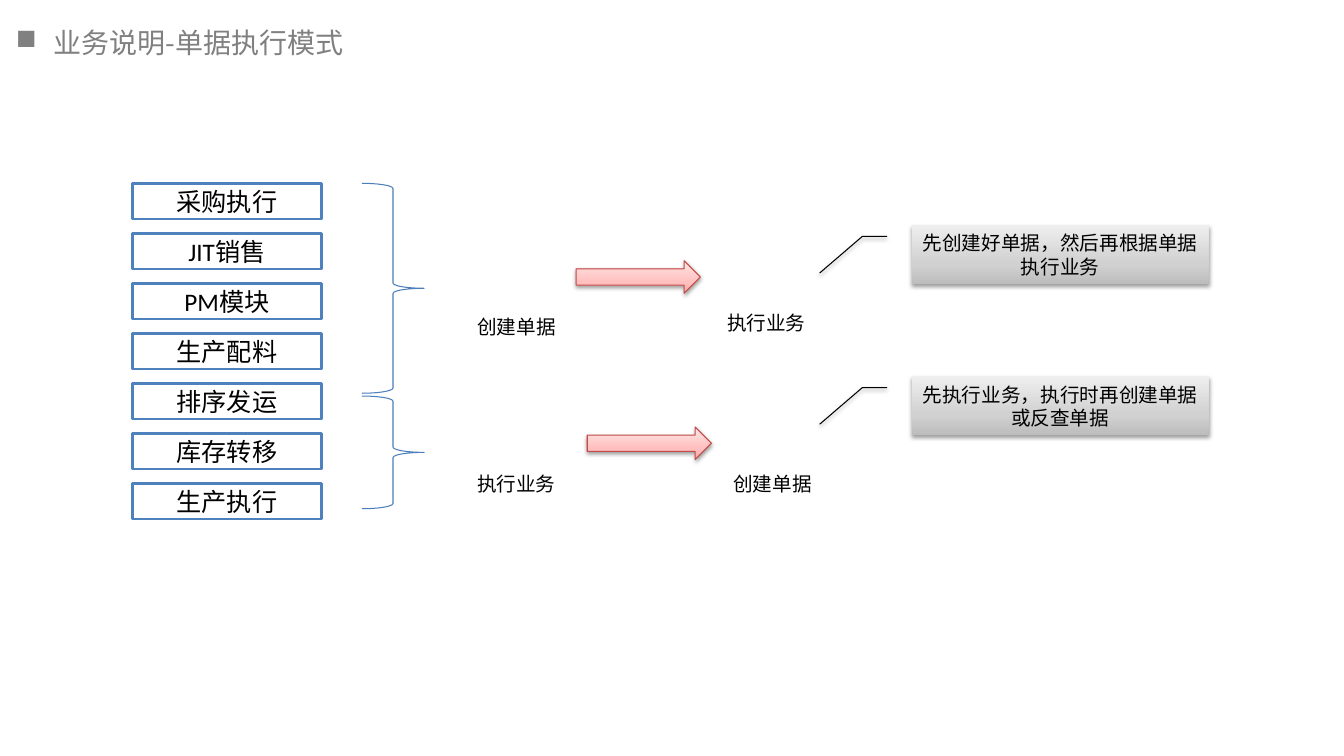
from dataclasses import dataclass

from lxml.etree import SubElement
from pptx import Presentation
from pptx.dml.color import RGBColor
from pptx.enum.shapes import MSO_SHAPE
from pptx.enum.text import MSO_ANCHOR, MSO_AUTO_SIZE, PP_ALIGN
from pptx.oxml.ns import qn
from pptx.shapes.autoshape import Shape
from pptx.slide import Slide
from pptx.text.text import TextFrame
from pptx.util import Cm, Pt


@dataclass(frozen=True)
class Theme:
    body_font: str = "Calibri"
    title_font: str = "Noto Sans CJK SC"
    title_size: float = 20
    module_size: float = 18
    label_size: float = 14
    text: str = "000000"
    title: str = "808080"
    module_fill: str = "FFFFFF"
    module_line: str = "4F81BD"
    brace_line: str = "4B7EBC"
    arrow_line: str = "BF4C48"
    arrow_stops: tuple[str, ...] = ("FFA6A5", "FFC0BF", "FFE7E7")
    note_stops: tuple[str, ...] = ("BDBDBD", "D1D1D1", "EEEEEE")
    stop_positions: tuple[int, ...] = (0, 35000, 100000)


@dataclass(frozen=True)
class Area:
    left: float
    top: float
    width: float
    height: float


@dataclass(frozen=True)
class Label:
    text: str
    area: Area


@dataclass(frozen=True)
class Flow:
    brace: Area
    first: Label
    arrow: Area
    second: Label
    note: Label


THEME = Theme()
MODULES = ("采购执行", "JIT销售", "PM模块", "生产配料", "排序发运", "库存转移", "生产执行")
MODULE_TOP, MODULE_PITCH = 4.62, 1.26
NOTE_ADJUSTMENTS = (0.1875, -0.0833, 0.1875, -0.1667, 0.8126, -0.3108)
FLOWS = (
    Flow(
        Area(9.12, 4.62, 1.57, 5.29),
        Label("创建单据", Area(11.51, 7.82, 3.02, 0.86)),
        Area(14.52, 6.57, 3.13, 0.82),
        Label("执行业务", Area(17.93, 7.7, 2.77, 0.86)),
        Label("先创建好单据，然后再根据单据执行业务", Area(22.98, 5.68, 7.48, 1.48)),
    ),
    Flow(
        Area(9.12, 9.98, 1.57, 2.84),
        Label("执行业务", Area(11.63, 11.76, 2.77, 0.86)),
        Area(14.8, 10.76, 3.13, 0.82),
        Label("创建单据", Area(17.96, 11.76, 3.02, 0.86)),
        Label("先执行业务，执行时再创建单据或反查单据", Area(22.98, 9.49, 7.48, 1.48)),
    ),
)


def write(frame: TextFrame, text: str, size: float, font: str = THEME.body_font,
          color: str = THEME.text, align: PP_ALIGN = PP_ALIGN.CENTER) -> None:
    frame.word_wrap = True
    para = frame.paragraphs[0]
    para.text = text
    para.alignment = align
    para.font.name = font
    para.font.size = Pt(size)
    para.font.color.rgb = RGBColor.from_string(color)


def add_outline(page: Slide, kind: MSO_SHAPE, area: Area, color: str, width: float) -> Shape:
    shape = page.shapes.add_shape(
        kind, Cm(area.left), Cm(area.top), Cm(area.width), Cm(area.height))
    shape.line.color.rgb = RGBColor.from_string(color)
    shape.line.width = Pt(width)
    shape.shadow.inherit = False
    return shape


def add_textbox(page: Slide, area: Area) -> TextFrame:
    box = page.shapes.add_textbox(
        Cm(area.left), Cm(area.top), Cm(area.width), Cm(area.height))
    box.text_frame.auto_size = MSO_AUTO_SIZE.SHAPE_TO_FIT_TEXT
    return box.text_frame


def add_raised(page: Slide, kind: MSO_SHAPE, area: Area, color: str,
               stops: tuple[str, ...]) -> Shape:
    shape = add_outline(page, kind, area, color, 0.75)
    shape.fill.gradient()
    shape.fill.gradient_angle = 90
    properties = shape.element.spPr
    stop_list = properties.find(qn("a:gradFill")).find(qn("a:gsLst"))
    for old_stop in list(stop_list):
        stop_list.remove(old_stop)
    for position, stop_color in zip(THEME.stop_positions, stops):
        stop = SubElement(stop_list, qn("a:gs"), pos=str(position))
        SubElement(stop, qn("a:srgbClr"), val=stop_color)
    shadow = SubElement(properties.find(qn("a:effectLst")), qn("a:outerShdw"),
                        blurRad="40000", dist="20000", dir="5400000", rotWithShape="0")
    shade = SubElement(shadow, qn("a:srgbClr"), val=THEME.text)
    SubElement(shade, qn("a:alpha"), val="38000")
    return shape


def add_title(page: Slide, title: Label) -> None:
    frame = add_textbox(page, title.area)
    properties = frame.paragraphs[0]._p.get_or_add_pPr()
    indent = Cm(0.95)
    properties.set("marL", str(indent))
    properties.set("indent", str(-indent))
    SubElement(properties, qn("a:buChar"), char="■")
    write(frame, title.text, THEME.title_size, THEME.title_font, THEME.title, PP_ALIGN.LEFT)


def add_module(page: Slide, module: Label) -> None:
    box = add_outline(page, MSO_SHAPE.RECTANGLE, module.area, THEME.module_line, 2)
    box.fill.solid()
    box.fill.fore_color.rgb = RGBColor.from_string(THEME.module_fill)
    box.text_frame.vertical_anchor = MSO_ANCHOR.MIDDLE
    write(box.text_frame, module.text, THEME.module_size)


def add_flow(page: Slide, flow: Flow) -> None:
    brace = add_outline(page, MSO_SHAPE.RIGHT_BRACE, flow.brace, THEME.brace_line, 0.75)
    brace.fill.background()
    for step in (flow.first, flow.second):
        write(add_textbox(page, step.area), step.text, THEME.label_size)
    add_raised(page, MSO_SHAPE.RIGHT_ARROW, flow.arrow, THEME.arrow_line, THEME.arrow_stops)
    note = add_raised(page, MSO_SHAPE.LINE_CALLOUT_2_NO_BORDER, flow.note.area,
                      THEME.text, THEME.note_stops)
    for index, value in enumerate(NOTE_ADJUSTMENTS):
        note.adjustments[index] = value
    note.text_frame.vertical_anchor = MSO_ANCHOR.MIDDLE
    write(note.text_frame, flow.note.text, THEME.label_size)


def main() -> None:
    deck = Presentation()
    deck.slide_width, deck.slide_height = Cm(33.87), Cm(19.05)
    page = deck.slides.add_slide(deck.slide_layouts[6])
    add_title(page, Label("业务说明-单据执行模式", Area(0.15, 0.53, 22.83, 1.11)))
    for row, name in enumerate(MODULES):
        add_module(page, Label(name, Area(3.33, MODULE_TOP + row * MODULE_PITCH, 4.78, 0.9)))
    for flow in FLOWS:
        add_flow(page, flow)
    deck.save("out.pptx")


if __name__ == "__main__":
    main()
